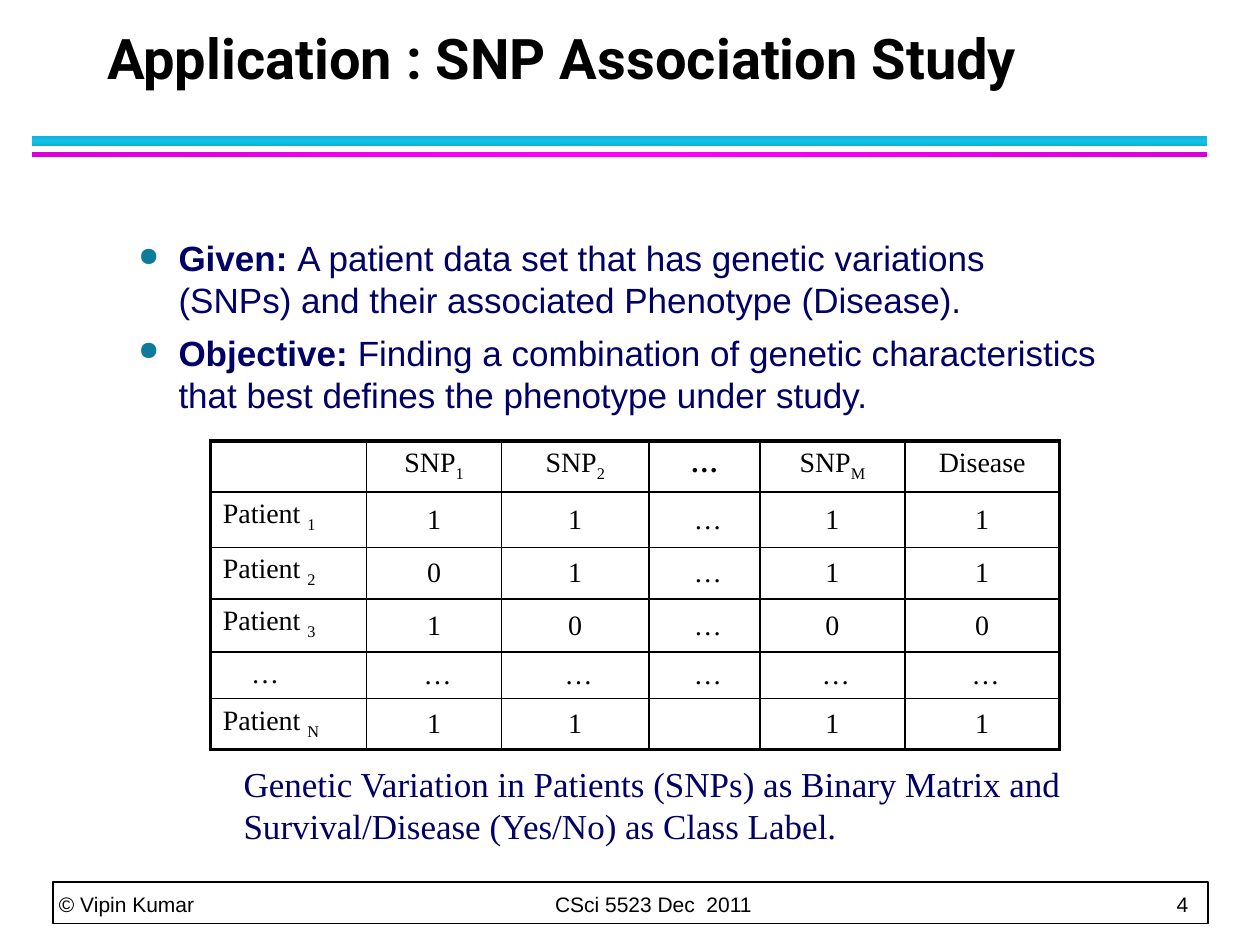
from dataclasses import dataclass

from lxml import etree
from pptx import Presentation
from pptx import util as u
from pptx.dml.color import RGBColor
from pptx.enum import shapes, text
from pptx.oxml import ns


@dataclass(frozen=True)
class Theme:
    black: str = "000000"
    white: str = "FFFFFF"
    navy: str = "000066"
    bullet: str = "0C7B9C"
    cyan: tuple = ("10B0D3", "12C2E9", "10B0D3")
    magenta: tuple = ("DA00DA", "FF00FF", "DA00DA")
    heading_font: str = "Roboto"
    body_font: str = "Arial"
    table_font: str = "Times New Roman"
    title_size: int = 32
    body_size: int = 20
    table_size: int = 16
    footer_size: int = 12
    outer_border: float = 2.25
    inner_border: float = 1


THEME = Theme()
COLUMNS = (3.15, 2.72, 2.97, 2.24, 2.92, 3.12)
ROWS = (0.94, 1.12, 1.04, 1.07, 0.94, 0.94)
# A label with an underscore carries a subscript after it.
MATRIX = (
    ("", "SNP_1", "SNP_2", "…", "SNP_M", "Disease"),
    ("Patient _1", "1", "1", " …", "1", "1"),
    ("Patient _2", "0", "1", " …", "1", "1"),
    ("Patient _3", "1", "0", " …", "0", "0"),
    ("…", " …", " …", " …", " …", " …"),
    ("Patient _N", "1", "1", "", "1", "1"),
)
BODY = (
    ("Given: ", "A patient data set that has genetic variations (SNPs) "
                "and their associated Phenotype (Disease)."),
    ("Objective:", " Finding a combination of genetic characteristics "
                   "that best defines the phenotype under study."),
)
CAPTION = ("Genetic Variation in Patients (SNPs) as Binary Matrix and "
           "Survival/Disease (Yes/No) as Class Label.")


def apply(target, values):
    for name, value in values.items():
        setattr(target, name, value)


def add_xml(parent, tag, **attributes):
    return etree.SubElement(parent, ns.qn(tag), attributes)


def add_run(paragraph, content, font, size, color, bold=False):
    run = paragraph.add_run()
    run.text = content
    apply(run.font, {"name": font, "size": u.Pt(size), "bold": bold})
    run.font.color.rgb = RGBColor.from_string(color)
    return run


def add_text_box(slide, left, top, width, height, **frame_format):
    box = slide.shapes.add_textbox(*map(u.Cm, (left, top, width, height)))
    apply(box.text_frame, {"word_wrap": True, **frame_format})
    return box.text_frame


def add_rectangle(slide, left, top, width, height):
    shape = slide.shapes.add_shape(
        shapes.MSO_SHAPE.RECTANGLE, *map(u.Cm, (left, top, width, height)))
    shape.shadow.inherit = False
    return shape


def add_gradient_bar(slide, top, height, colors, angle):
    bar = add_rectangle(slide, 0.64, top, 23.7, height)
    bar.line.fill.background()
    bar.fill.gradient()
    bar.fill.gradient_angle = angle
    stops = bar.element.spPr.find(".//" + ns.qn("a:gsLst"))
    for stop in list(stops):
        stops.remove(stop)
    for position, color in zip((0, 50000, 100000), colors):
        stop = add_xml(stops, "a:gs", pos=str(position))
        add_xml(stop, "a:srgbClr", val=color)


def add_title(slide):
    frame = add_text_box(slide, 1.91, 1.7, 21.59, 0.13,
                         vertical_anchor=text.MSO_ANCHOR.BOTTOM)
    paragraph = frame.paragraphs[0]
    paragraph.line_spacing = u.Pt(36)
    add_run(paragraph, "Application : SNP Association Study",
            THEME.heading_font, THEME.title_size, THEME.black, bold=True)


def set_bullet(paragraph):
    properties = paragraph._p.get_or_add_pPr()
    indent = u.Cm(0.81)
    properties.set("marL", str(indent))
    properties.set("indent", str(-indent))
    add_xml(add_xml(properties, "a:buClr"), "a:srgbClr", val=THEME.bullet)
    add_xml(properties, "a:buSzPct", val="75000")
    add_xml(properties, "a:buChar", char="●")


def add_body(slide):
    frame = add_text_box(slide, 2.54, 4.65, 19.89, 4.24)
    for index, (lead, rest) in enumerate(BODY):
        paragraph = frame.add_paragraph() if index else frame.paragraphs[0]
        apply(paragraph, {"space_before": u.Pt(2), "space_after": u.Pt(4)})
        set_bullet(paragraph)
        style = (THEME.body_font, THEME.body_size, THEME.navy)
        add_run(paragraph, lead, *style, bold=True)
        add_run(paragraph, rest, *style)


def set_borders(cell, row, column):
    """Draw the four sides, heavier along the outside of the table."""
    outside = {
        "a:lnL": column == 0,
        "a:lnR": column == len(COLUMNS) - 1,
        "a:lnT": row == 0,
        "a:lnB": row == len(ROWS) - 1,
    }
    properties = cell._tc.get_or_add_tcPr()
    for tag, is_outer in outside.items():
        width = THEME.outer_border if is_outer else THEME.inner_border
        line = add_xml(properties, tag, w=str(u.Pt(width)))
        add_xml(add_xml(line, "a:solidFill"), "a:srgbClr", val=THEME.black)


def fill_cell(cell, label, row, column):
    paragraph = cell.text_frame.paragraphs[0]
    if column:
        paragraph.alignment = text.PP_ALIGN.CENTER
    if row and column:
        cell.vertical_anchor = text.MSO_ANCHOR.MIDDLE
    if label == "…" and not column:
        cell.margin_left = u.Cm(0.82)
    style = (THEME.table_font, THEME.table_size, THEME.black)
    base, _, subscript = label.partition("_")
    if base:
        add_run(paragraph, base, *style, bold=label == "…" and row == 0)
    else:
        add_xml(paragraph._p, "a:endParaRPr", sz=str(THEME.table_size * 100))
    if subscript:
        run = add_run(paragraph, subscript, *style)
        run.font._element.set("baseline", "-25000")


def add_matrix(slide):
    table = slide.shapes.add_table(
        len(ROWS), len(COLUMNS), u.Cm(4.24), u.Cm(8.89),
        u.Cm(sum(COLUMNS)), u.Cm(sum(ROWS))).table
    apply(table, {"first_row": False, "horz_banding": False})
    for column, width in zip(table.columns, COLUMNS):
        column.width = u.Cm(width)
    for row, height in zip(table.rows, ROWS):
        row.height = u.Cm(height)
    for row, labels in enumerate(MATRIX):
        for column, label in enumerate(labels):
            cell = table.cell(row, column)
            set_borders(cell, row, column)
            cell.fill.background()
            fill_cell(cell, label, row, column)


def add_caption(slide):
    frame = add_text_box(slide, 4.66, 15.24, 18.21, 1.96)
    paragraph = frame.paragraphs[0]
    paragraph.space_before = u.Pt(2)
    add_run(paragraph, CAPTION, THEME.table_font, THEME.body_size, THEME.navy)


def add_footer(slide):
    border = add_rectangle(slide, 1.07, 17.78, 23.29, 0.84)
    border.fill.solid()
    border.fill.fore_color.rgb = RGBColor.from_string(THEME.white)
    border.line.color.rgb = RGBColor.from_string(THEME.black)
    border.line.width = u.Pt(1)
    frame = add_text_box(
        slide, 1.07, 17.78, 23.24, 0.71, margin_left=u.Cm(0.12),
        margin_right=0, margin_top=0, margin_bottom=0,
        vertical_anchor=text.MSO_ANCHOR.BOTTOM)
    paragraph = frame.paragraphs[0]
    paragraph.line_spacing = u.Pt(20)
    tabs = add_xml(paragraph._p.get_or_add_pPr(), "a:tabLst")
    for position in (10, 22.53):
        add_xml(tabs, "a:tab", pos=str(u.Cm(position)), algn="l")
    add_run(paragraph, "© Vipin Kumar\tCSci 5523 Dec  2011\t4",
            THEME.body_font, THEME.footer_size, THEME.black)


def main():
    presentation = Presentation()
    apply(presentation, {"slide_width": u.Cm(25.4), "slide_height": u.Cm(19.05)})
    slide = presentation.slides.add_slide(presentation.slide_layouts[6])
    add_footer(slide)
    add_title(slide)
    add_body(slide)
    add_matrix(slide)
    add_caption(slide)
    add_gradient_bar(slide, 2.74, 0.2, THEME.cyan, 270)
    add_gradient_bar(slide, 3.07, 0.1, THEME.magenta, 0)
    presentation.save("out.pptx")


if __name__ == "__main__":
    main()
